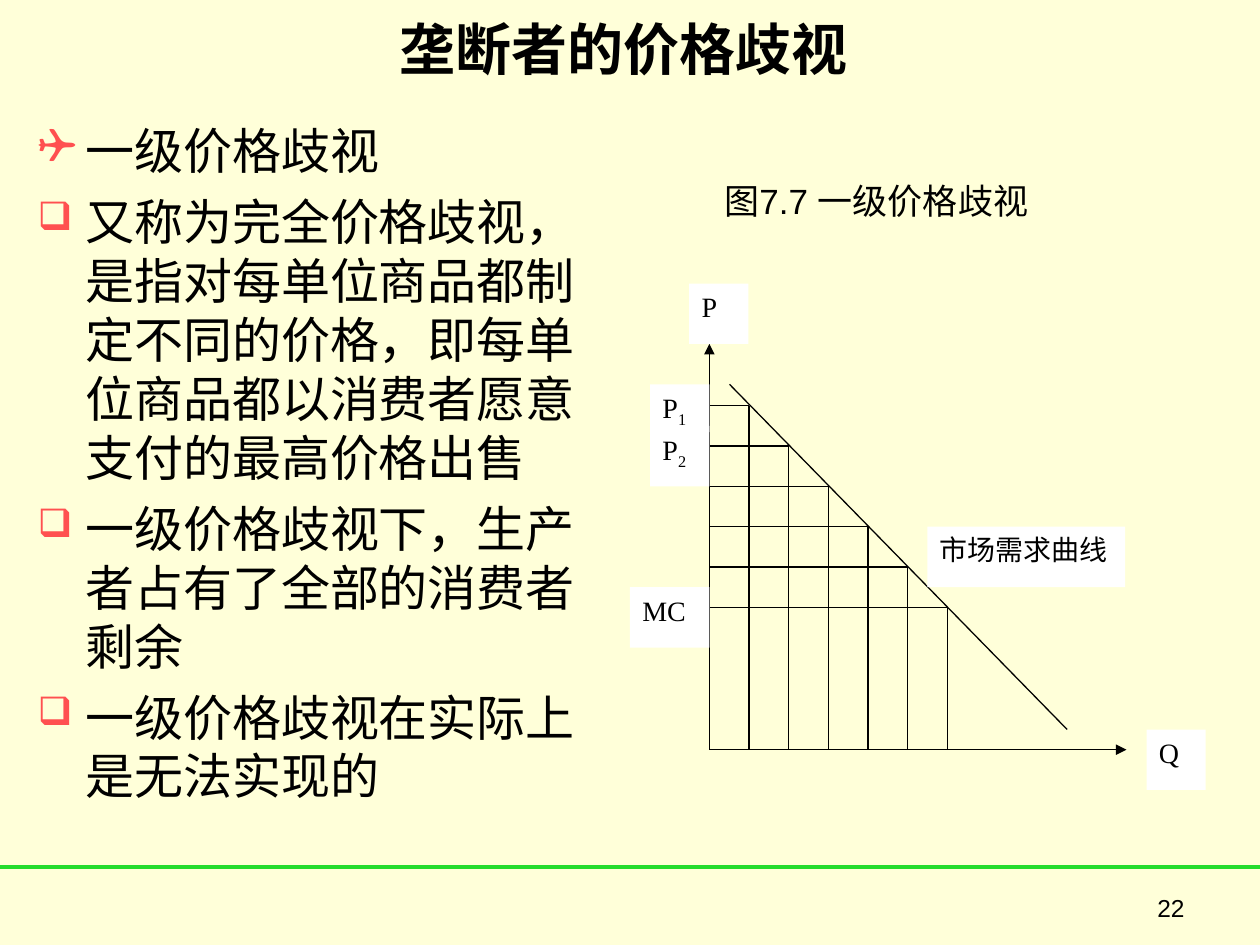
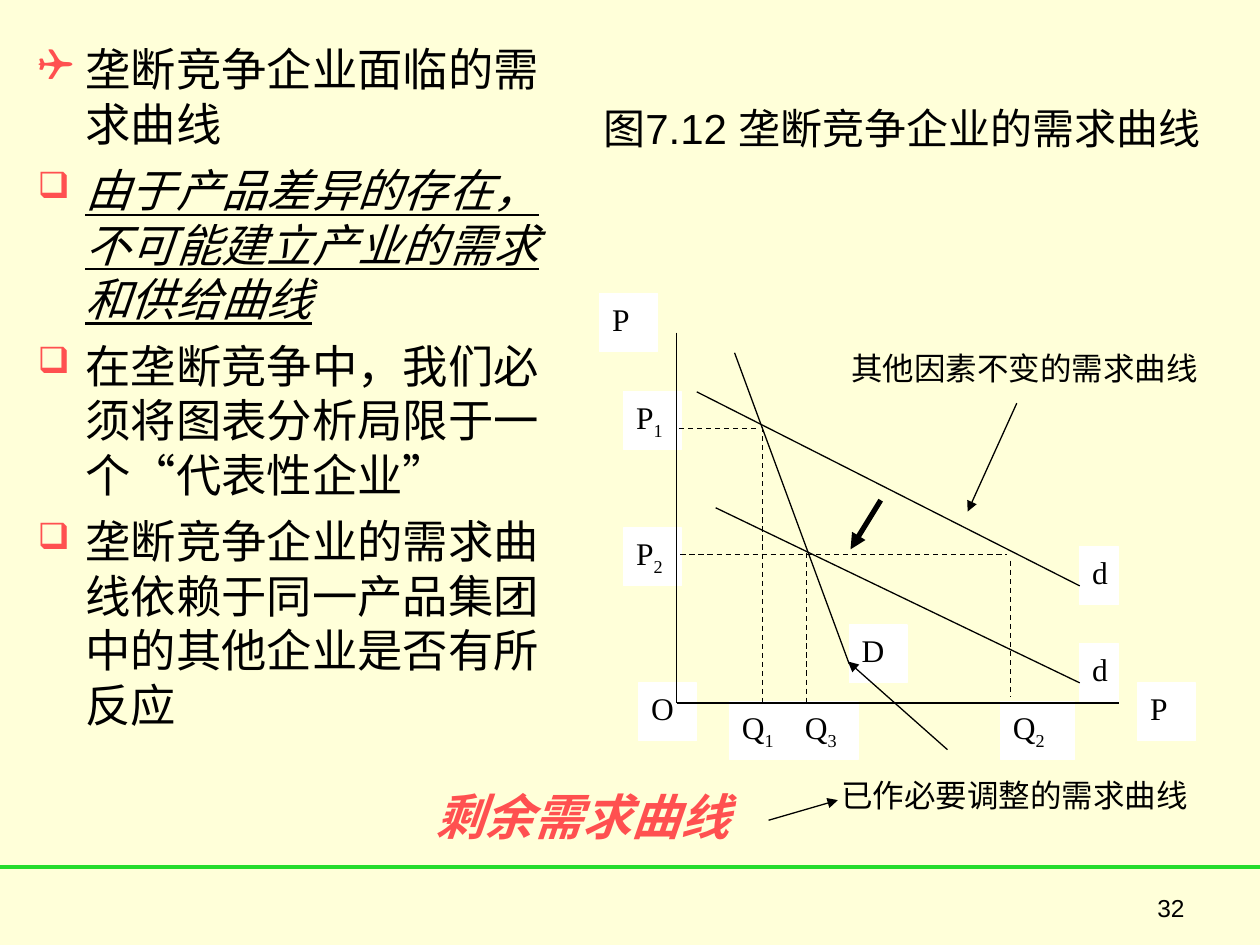
import pptx
import pptx.dml.color
import pptx.enum.dml
import pptx.enum.shapes
import pptx.enum.text
import pptx.oxml.ns
import pptx.util
from lxml import etree

COLORS = {
    "background": "FFFFD9",
    "rule": "24DC2D",
    "accent": "FF5050",
    "ink": "000000",
    "label": "FFFFFF",
}
SANS, SERIF = "Arial", "Times New Roman"
COLUMNS, ROWS = 100, 75  # the grid covers a slide of 10 x 7.5 inches
ALIGN = pptx.enum.text.PP_ALIGN
ANCHOR = pptx.enum.text.MSO_ANCHOR


def color(name):
    return pptx.dml.color.RGBColor.from_string(COLORS[name])


def add_element(parent, tag, **attributes):
    element = etree.SubElement(parent, pptx.oxml.ns.qn(tag))
    for key, value in attributes.items():
        element.set(key, value)
    return element


def write_text(paragraph, text, size=16, font=SANS, ink="ink", bold=False,
               italic=False, underline=False, align=None):
    """Write text; the part after an underscore becomes a subscript."""
    paragraph.alignment = align
    for index, part in enumerate(text.split("_")):
        run = paragraph.add_run()
        run.text = part
        run.font.name = font
        run.font.size = pptx.util.Pt(size)
        run.font.bold, run.font.italic = bold, italic
        run.font.underline = underline
        run.font.color.rgb = color(ink)
        properties = run._r.get_or_add_rPr()
        properties.set("lang", "zh-CN")
        if index:
            properties.set("baseline", "-25000")


class Deck:
    def __init__(self):
        self.presentation = pptx.Presentation()
        self.presentation.slide_width = pptx.util.Inches(10)
        self.presentation.slide_height = pptx.util.Inches(7.5)
        self.slide = None

    def grid(self, *lengths):
        """Turn alternating columns and rows into slide lengths."""
        units = (self.presentation.slide_width / COLUMNS,
                 self.presentation.slide_height / ROWS)
        return [round(length * units[index % 2])
                for index, length in enumerate(lengths)]

    def new_slide(self, number):
        self.slide = self.presentation.slides.add_slide(
            self.presentation.slide_layouts[6])
        fill = self.slide.background.fill
        fill.solid()
        fill.fore_color.rgb = color("background")
        self.line((0, 68.8), (COLUMNS, 68.8), ink="rule", width=2.25)
        self.text((81.5, 70.4, 13.5, 4.6), str(number), size=14,
                  align=ALIGN.RIGHT, anchor=ANCHOR.TOP)

    def text(self, place, text, anchor=ANCHOR.MIDDLE, wrap=True, **style):
        frame = self.slide.shapes.add_textbox(*self.grid(*place)).text_frame
        frame.word_wrap = wrap
        frame.vertical_anchor = anchor
        write_text(frame.paragraphs[0], text, **style)

    def title(self, text):
        self.text((0, 0, COLUMNS, 7.6), text, size=32, bold=True,
                  align=ALIGN.CENTER)

    def bullets(self, place, items, size, emphasized=()):
        """A plane marks the heading, a box each point below it."""
        frame = self.slide.shapes.add_textbox(*self.grid(*place)).text_frame
        frame.word_wrap = True
        for index, item in enumerate(items):
            paragraph = frame.add_paragraph() if index else frame.paragraphs[0]
            properties = paragraph._p.get_or_add_pPr()
            indent = pptx.util.Inches(0.38)
            properties.set("marL", str(indent))
            properties.set("indent", str(-indent))
            bullet_color = add_element(properties, "a:buClr")
            add_element(bullet_color, "a:srgbClr", val=COLORS["accent"])
            add_element(properties, "a:buSzPct",
                        val="80000" if index else "100000")
            add_element(properties, "a:buChar", char="❑" if index else "✈")
            if index:
                paragraph.space_before = pptx.util.Pt(7)
            marked = index in emphasized
            write_text(paragraph, item, size=size, italic=marked,
                       underline=marked)

    def label(self, place, text, size, outlined=False):
        shape = self.slide.shapes.add_shape(
            pptx.enum.shapes.MSO_SHAPE.RECTANGLE, *self.grid(*place))
        shape.shadow.inherit = False
        shape.fill.solid()
        shape.fill.fore_color.rgb = color("label")
        if outlined:
            shape.line.color.rgb = color("label")
            shape.line.width = pptx.util.Pt(0.75)
        else:
            shape.line.fill.background()
        shape.text_frame.word_wrap = True
        shape.text_frame.vertical_anchor = ANCHOR.TOP
        write_text(shape.text_frame.paragraphs[0], text, size=size,
                   font=SERIF, align=ALIGN.JUSTIFY)

    def line(self, start, end, ink="ink", width=0.75, dashed=False, arrow=False):
        connector = self.slide.shapes.add_connector(
            pptx.enum.shapes.MSO_CONNECTOR.STRAIGHT, *self.grid(*start, *end))
        connector.line.color.rgb = color(ink)
        connector.line.width = pptx.util.Pt(width)
        if dashed:
            connector.line.dash_style = pptx.enum.dml.MSO_LINE.DASH
        if arrow:
            add_element(connector.line._get_or_add_ln(), "a:tailEnd",
                        type="triangle")
        add_element(connector._element.spPr, "a:effectLst")


def build_price_discrimination(deck):
    deck.new_slide(22)
    deck.title("垄断者的价格歧视 ")
    deck.bullets((2, 9.1, 45.7, 57.5), [
        "一级价格歧视",
        "又称为完全价格歧视，是指对每单位商品都制定不同的价格，即每单位商品都以消费者愿意支付的最高价格出售",
        "一级价格歧视下，生产者占有了全部的消费者剩余",
        "一级价格歧视在实际上是无法实现的",
    ], size=28)
    deck.text((56.5, 13.7, 28.8, 4.4), "图7.7 一级价格歧视", size=20)

    # Axes and demand curve
    left, bottom = 56.3, 59.5
    deck.line((left, bottom), (89.4, bottom), arrow=True)
    deck.line((left, bottom), (left, 27.3), arrow=True)
    deck.line((57.9, 30.5), (84.7, 57.9))

    # Each unit sold at its own price
    for unit in range(6):
        quantity = left + 3.15 * (unit + 1)
        price = 32.2 + 3.2 * unit
        deck.line((left, price), (quantity, price))
        deck.line((quantity, price), (quantity, bottom))

    # Labels
    for place, text in [
        ((54.7, 22.5, 4.7, 4.8), "P"),
        ((50, 46.6, 6.3, 4.8), "MC"),
        ((51.6, 33.8, 4.7, 4.8), "P_2"),
        ((51.6, 30.5, 4.7, 3.8), "P_1"),
        ((91, 57.9, 4.7, 4.8), "Q"),
        ((73.6, 41.8, 15.7, 4.8), "市场需求曲线"),
    ]:
        deck.label(place, text, size=16)


def build_monopolistic_competition(deck):
    deck.new_slide(32)
    deck.bullets((2, 2.8, 43.3, 63.8), [
        "垄断竞争企业面临的需求曲线",
        "由于产品差异的存在，不可能建立产业的需求和供给曲线",
        "在垄断竞争中，我们必须将图表分析局限于一个“代表性企业”",
        "垄断竞争企业的需求曲线依赖于同一产品集团中的其他企业是否有所反应",
    ], size=25.9, emphasized=(1,))
    deck.text((46.1, 7.6, 51, 5), "图7.12 垄断竞争企业的需求曲线", size=24,
              align=ALIGN.CENTER, wrap=False)

    # Labels: left, top, width
    for left, top, width, text in [
        (49.5, 31.1, 4.6, "P_1"), (49.5, 41.9, 4.6, "P_2"),
        (57.9, 55.7, 5, "Q_1"), (79.4, 55.7, 5.9, "Q_2"),
        (62.9, 55.7, 5.2, "Q_3"), (85.7, 51.1, 3.1, "d"),
        (85.7, 43.4, 3.1, "d"), (50.7, 54.2, 4.6, "O"),
        (47.6, 23.3, 4.6, "P"), (67.4, 49.6, 4.6, "D"),
        (90.3, 54.2, 4.6, "P"),
    ]:
        deck.label((left, top, width, 4.6), text, size=18, outlined=True)

    # Axes and demand curves
    for start, end in [
        ((53.7, 26.4), (53.7, 55.8)),
        ((53.7, 55.8), (88.8, 55.8)),
        ((58.3, 28), (67.4, 52.7)),
        ((55.3, 31.1), (85.7, 46.5)),
        ((56.8, 40.3), (85.7, 54.2)),
    ]:
        deck.line(start, end)

    # Guides from the crossings to the axes
    for start, end in [
        ((60, 34), (53.9, 34)),
        ((54, 44), (79.9, 44)),
        ((60.5, 33.9), (60.5, 56)),
        ((64, 43.9), (64, 55.9)),
        ((80.2, 44.5), (80.2, 55.3)),
    ]:
        deck.line(start, end, dashed=True)

    # Notes and their arrows
    deck.text((66.6, 27.2, 30, 4), "其他因素不变的需求曲线", size=18, wrap=False)
    deck.text((65.8, 61.1, 30, 4), "已作必要调整的需求曲线", size=18, wrap=False)
    deck.text((33.6, 61.9, 26.2, 5.7), "剩余需求曲线", size=28, ink="accent",
              bold=True, italic=True, wrap=False)
    for start, end, width in [
        ((80.7, 32), (76.8, 40.6), 0.75),
        ((75.2, 59.5), (67.3, 52.5), 0.75),
        ((61, 65.1), (66.5, 63.5), 0.75),
        ((69.9, 39.7), (67.5, 43.6), 3),
    ]:
        deck.line(start, end, width=width, arrow=True)


def main():
    deck = Deck()
    build_price_discrimination(deck)
    build_monopolistic_competition(deck)
    deck.presentation.save("out.pptx")


if __name__ == "__main__":
    main()
